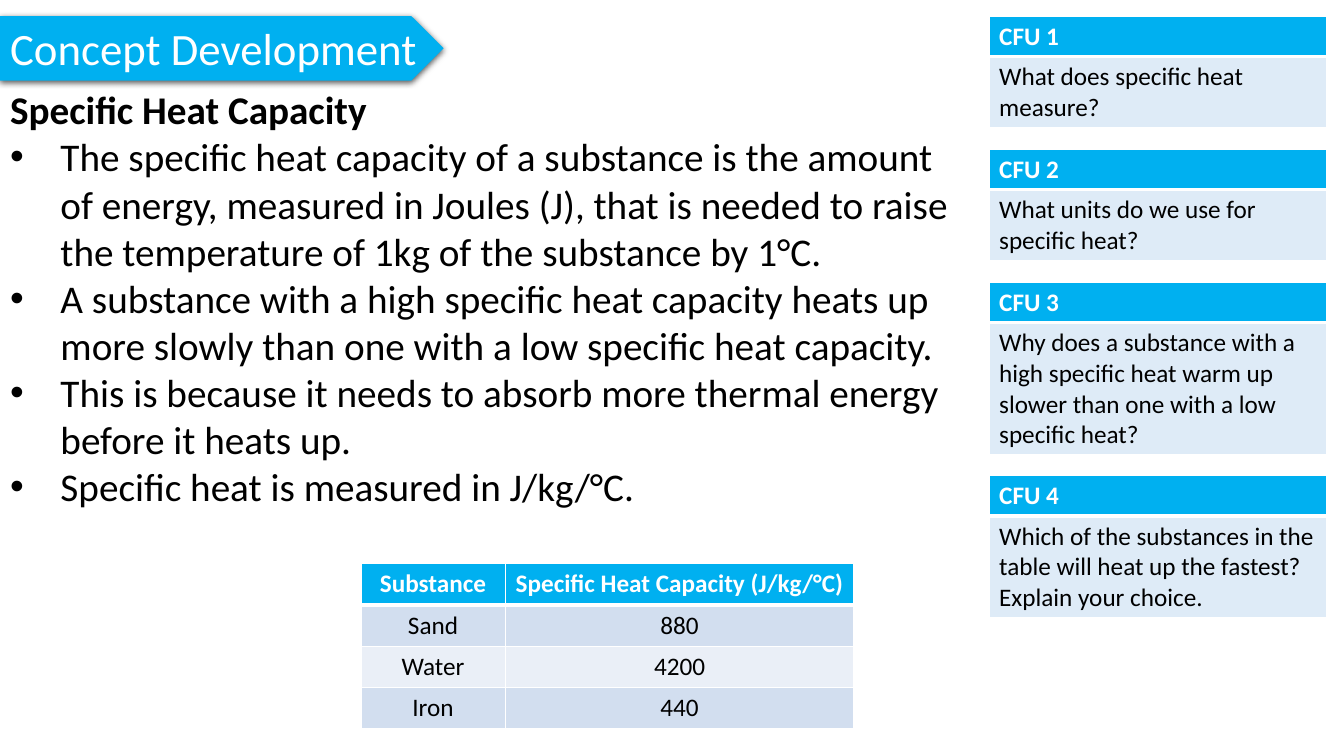
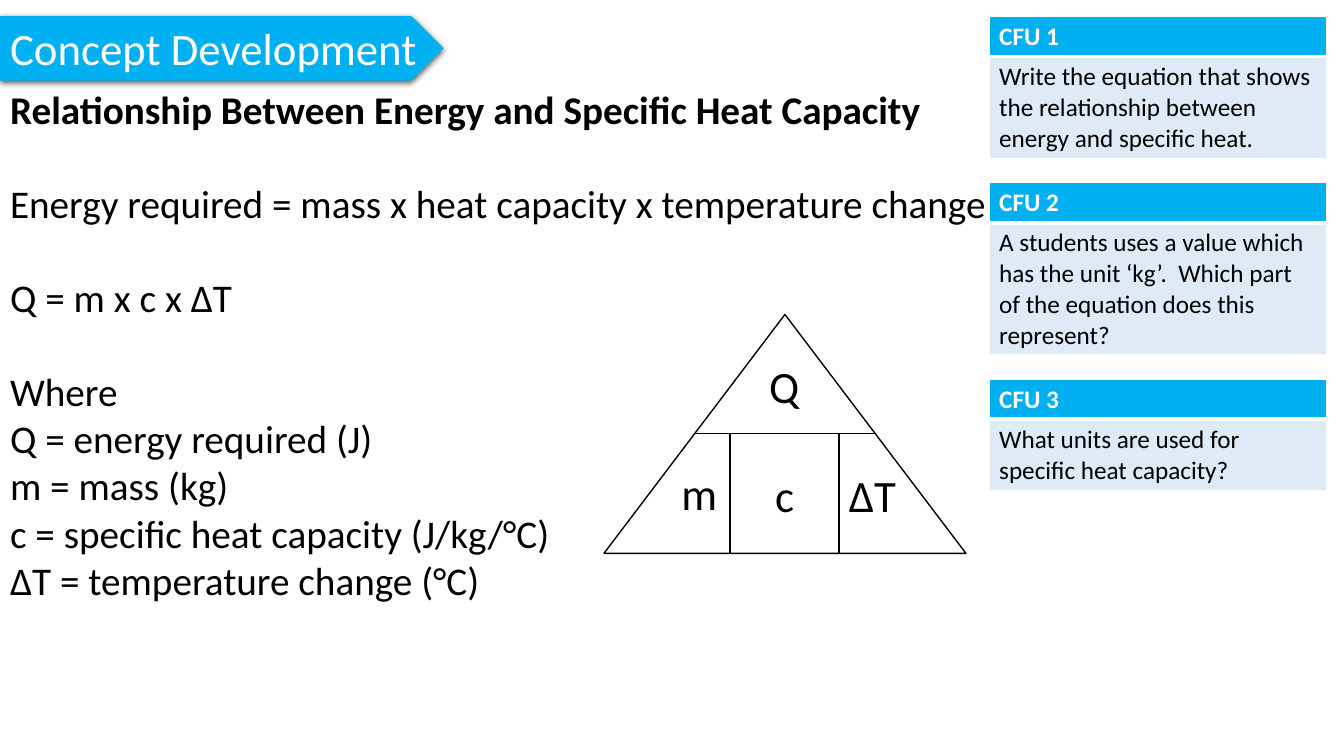
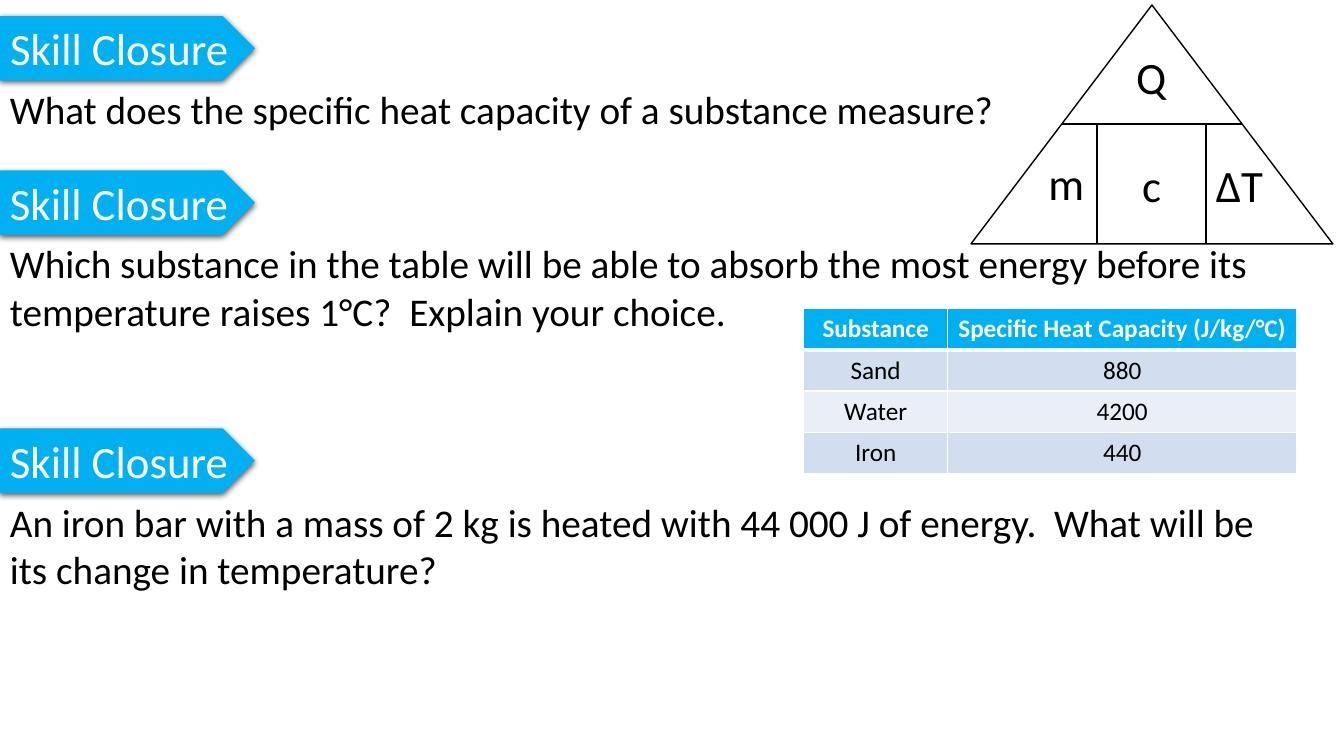
from lxml import etree
from pptx import Presentation
from pptx import util as u
from pptx.dml.color import RGBColor
from pptx.enum import shapes, text
from pptx.oxml import ns

PIXEL = 9144
FONT = "Calibri"
BLUE = RGBColor(0x00, 0xB0, 0xF0)
PALE_BLUE = RGBColor(0xDE, 0xEB, 0xF7)
BAND_DARK = RGBColor(0xD2, 0xDE, 0xEF)
BAND_LIGHT = RGBColor(0xEA, 0xEF, 0xF7)
WHITE = RGBColor(0xFF, 0xFF, 0xFF)
BLACK = RGBColor(0x00, 0x00, 0x00)

BODY_SIZE = 28
LABEL_SIZE = 32
TABLE_SIZE = 18
BLANK_LINE = 33.5
BANNER_TOP = 16
BANNER_HEIGHT = 64
CONCEPT_WIDTH = 440
CLOSURE_WIDTH = 253
CARD_LEFT, CARD_TOP, CARD_WIDTH = 981, 16, 335
CARD_HEADER = 39
CARD_LINE = 30
CARD_PADDING = 11

SUBSTANCES = [
    ("Substance", "Specific Heat Capacity (J/kg/°C)"),
    ("Sand", "880"),
    ("Water", "4200"),
    ("Iron", "440"),
]


def px(*lengths):
    return [u.Emu(length * PIXEL) for length in lengths]


def add_element(parent, tag, **attributes):
    element = etree.SubElement(parent, ns.qn(tag))
    for name, value in attributes.items():
        element.set(name, str(value))
    return element


def place(shape, left, top, width, height):
    shape.left, shape.top, shape.width, shape.height = px(left, top, width, height)


def write(paragraph, content, size=BODY_SIZE, color=BLACK, bold=False,
          align=text.PP_ALIGN.LEFT, before=0, bullet=False):
    paragraph.alignment = align
    paragraph.space_before = u.Pt(before)
    properties = paragraph._p.get_or_add_pPr()
    indent = 50 * PIXEL if bullet else 0
    properties.set("marL", str(indent))
    properties.set("indent", str(-indent))
    if bullet:
        add_element(properties, "a:buFont", typeface="Arial")
        add_element(properties, "a:buChar", char="•")
    else:
        add_element(properties, "a:buNone")
    run = paragraph.add_run()
    run.text = content
    font = run.font
    font.name, font.size, font.bold = FONT, u.Pt(size), bold
    font.color.rgb = color


def prepare_frame(shape, wrap=True, fit=text.MSO_AUTO_SIZE.SHAPE_TO_FIT_TEXT):
    frame = shape.text_frame
    frame.word_wrap = wrap
    frame.auto_size = fit
    frame.vertical_anchor = text.MSO_ANCHOR.TOP
    return frame


def fill_body(shape, lines):
    frame = prepare_frame(shape)
    for index, (content, options) in enumerate(lines):
        paragraph = frame.add_paragraph() if index else frame.paragraphs[0]
        write(paragraph, content, **options)


def add_text_box(container, content, box, wrap=True, **options):
    shape = container.add_textbox(*px(*box))
    write(prepare_frame(shape, wrap).paragraphs[0], content, **options)


def add_banner(slide, top, width):
    shape = slide.shapes.add_shape(shapes.MSO_SHAPE.PENTAGON,
                                   *px(0, top, width, BANNER_HEIGHT))
    shape.fill.solid()
    shape.fill.fore_color.rgb = BLUE
    shape.line.fill.background()
    effects = add_element(shape._element.spPr, "a:effectLst")
    shadow = add_element(effects, "a:outerShdw", blurRad=u.Pt(4.5), dist=u.Pt(1.5),
                         dir=5400000, algn="ctr", rotWithShape=0)
    color = add_element(shadow, "a:srgbClr", val=BLACK)
    add_element(color, "a:alpha", val=63000)
    return shape


def write_banner(frame, content):
    write(frame.paragraphs[0], content, size=LABEL_SIZE, color=WHITE)


def set_borders(cell, top, bottom):
    properties = cell._tc.get_or_add_tcPr()
    sides = [("a:lnL", 1), ("a:lnR", 1), ("a:lnT", top), ("a:lnB", bottom)]
    for index, (tag, width) in enumerate(sides):
        line = add_element(properties, tag, w=u.Pt(width))
        fill = add_element(line, "a:solidFill")
        add_element(fill, "a:srgbClr", val=WHITE)
        properties.insert(index, line)


def add_table(slide, rows, left, top, widths, heights, bands, align, anchor):
    frame = slide.shapes.add_table(len(rows), len(widths),
                                   *px(left, top, sum(widths), sum(heights)))
    table = frame.table
    table.horz_banding = False
    for column, width in zip(table.columns, px(*widths)):
        column.width = width
    for row, height in zip(table.rows, px(*heights)):
        row.height = height
    for row_index, row in enumerate(rows):
        header = row_index == 0
        for column_index, content in enumerate(row):
            cell = table.cell(row_index, column_index)
            cell.vertical_anchor = anchor
            cell.fill.solid()
            cell.fill.fore_color.rgb = (
                BLUE if header else bands[(row_index - 1) % len(bands)])
            set_borders(cell, 3 if row_index == 1 else 1, 3 if header else 1)
            write(cell.text_frame.paragraphs[0], content, size=TABLE_SIZE,
                  color=WHITE if header else BLACK, bold=header, align=align)


def add_substance_table(slide, left, top):
    add_table(slide, SUBSTANCES, left, top, [143, 346], [41] * len(SUBSTANCES),
              [BAND_DARK, BAND_LIGHT], text.PP_ALIGN.CENTER, text.MSO_ANCHOR.MIDDLE)


def add_question_cards(slide, questions, gap):
    top = CARD_TOP
    for number, (question, line_count) in enumerate(questions, 1):
        heights = [CARD_HEADER, CARD_PADDING + CARD_LINE * line_count]
        add_table(slide, [(f"CFU {number}",), (question,)], CARD_LEFT, top,
                  [CARD_WIDTH], heights, [PALE_BLUE],
                  text.PP_ALIGN.LEFT, text.MSO_ANCHOR.TOP)
        top += sum(heights) + gap


def add_line(container, *ends):
    line = container.add_connector(shapes.MSO_CONNECTOR.STRAIGHT, *px(*ends))
    line.line.color.rgb = BLACK
    line.line.width = u.Pt(1)
    add_element(line._element.spPr, "a:effectLst")


def add_formula_triangle(slide, left, top):
    width, height, middle = 359, 237, 118
    parts = slide.shapes.add_group_shape().shapes
    triangle = parts.add_shape(shapes.MSO_SHAPE.ISOSCELES_TRIANGLE,
                               *px(left, top, width, height))
    triangle.shadow.inherit = False
    triangle.fill.background()
    triangle.line.color.rgb = BLACK
    triangle.line.width = u.Pt(1)
    add_line(parts, left + 90, top + middle, left + 269, top + middle)
    for x in (125, 233):
        add_line(parts, left + x, top + middle, left + x, top + height)
    labels = [("Q", 154, 39, 50), ("m", 67, 145, 56),
              ("c", 160, 147, 39), ("ΔT", 233, 147, 68)]
    for label, x, y, label_width in labels:
        add_text_box(parts, label, (left + x, top + y, label_width, 64),
                     wrap=False, size=LABEL_SIZE)


def add_slide(presentation, layout, content, width):
    slide = presentation.slides.add_slide(presentation.slide_layouts[layout])
    title = slide.shapes.title
    banner = add_banner(slide, BANNER_TOP, width)
    title._element.addprevious(banner._element)
    place(title, 0, BANNER_TOP, width, BANNER_HEIGHT)
    write_banner(prepare_frame(title, fit=text.MSO_AUTO_SIZE.NONE), content)
    return slide


def add_concept_slide(presentation, lines, width, height):
    slide = add_slide(presentation, 1, "Concept Development", CONCEPT_WIDTH)
    body = slide.placeholders[1]
    place(body, 0, BANNER_TOP + BANNER_HEIGHT, width, height)
    fill_body(body, lines)
    return slide


def build_heat_capacity(presentation):
    bullet = {"bullet": True}
    slide = add_concept_slide(presentation, [
        ("Specific Heat Capacity", {"bold": True}),
        ("The specific heat capacity of a substance is the amount of energy, "
         "measured in Joules (J), that is needed to raise the temperature of 1kg "
         "of the substance by 1°C.", bullet),
        ("A substance with a high specific heat capacity heats up more slowly "
         "than one with a low specific heat capacity.", bullet),
        ("This is because it needs to absorb more thermal energy before it "
         "heats up.", bullet),
        ("Specific heat is measured in J/kg/°C.", bullet),
    ], 961, 434)
    add_question_cards(slide, [
        ("What does specific heat measure?", 2),
        ("What units do we use for specific heat?", 2),
        ("Why does a substance with a high specific heat warm up slower than one "
         "with a low specific heat?", 4),
        ("Which of the substances in the table will heat up the fastest? "
         "Explain your choice.", 3),
    ], 22)
    add_substance_table(slide, 358, 559)


def build_relationship(presentation):
    spaced = {"before": BLANK_LINE}
    slide = add_concept_slide(presentation, [
        ("Relationship Between Energy and Specific Heat Capacity", {"bold": True}),
        ("Energy required = mass x heat capacity x temperature change", spaced),
        ("Q = m x c x ΔT", spaced),
        ("Where", spaced),
        ("Q = energy required (J)", {}),
        ("m = mass (kg)", {}),
        ("c = specific heat capacity (J/kg/°C)", {}),
        ("ΔT = temperature change (°C)", {}),
    ], 991, 528)
    add_question_cards(slide, [
        ("Write the equation that shows the relationship between energy and "
         "specific heat.", 3),
        ("A students uses a value which has the unit ‘kg’.  Which part of the "
         "equation does this represent?", 4),
        ("What units are used for specific heat capacity?", 2),
    ], 25)
    add_formula_triangle(slide, 599, 312)


def build_closure(presentation):
    title = "Skill Closure"
    slide = add_slide(presentation, 5, title, CLOSURE_WIDTH)
    questions = [
        (BANNER_TOP, 1305, 57,
         "What does the specific heat capacity of a substance measure?"),
        (169, 1252, 104,
         "Which substance in the table will be able to absorb the most energy "
         "before its temperature raises 1°C?  Explain your choice."),
        (425, 1293, 104,
         "An iron bar with a mass of 2 kg is heated with 44 000 J of energy.  "
         "What will be its change in temperature?"),
    ]
    for top, width, height, question in questions:
        if top != BANNER_TOP:
            banner = add_banner(slide, top, CLOSURE_WIDTH)
            write_banner(prepare_frame(banner, wrap=False), title)
        add_text_box(slide.shapes, question, (0, top + BANNER_HEIGHT, width, height))
    add_substance_table(slide, 797, 306)
    add_formula_triangle(slide, 963, 5)


def main():
    presentation = Presentation()
    presentation.slide_width, presentation.slide_height = px(1333, 750)
    build_heat_capacity(presentation)
    build_relationship(presentation)
    build_closure(presentation)
    presentation.save("out.pptx")


if __name__ == "__main__":
    main()
